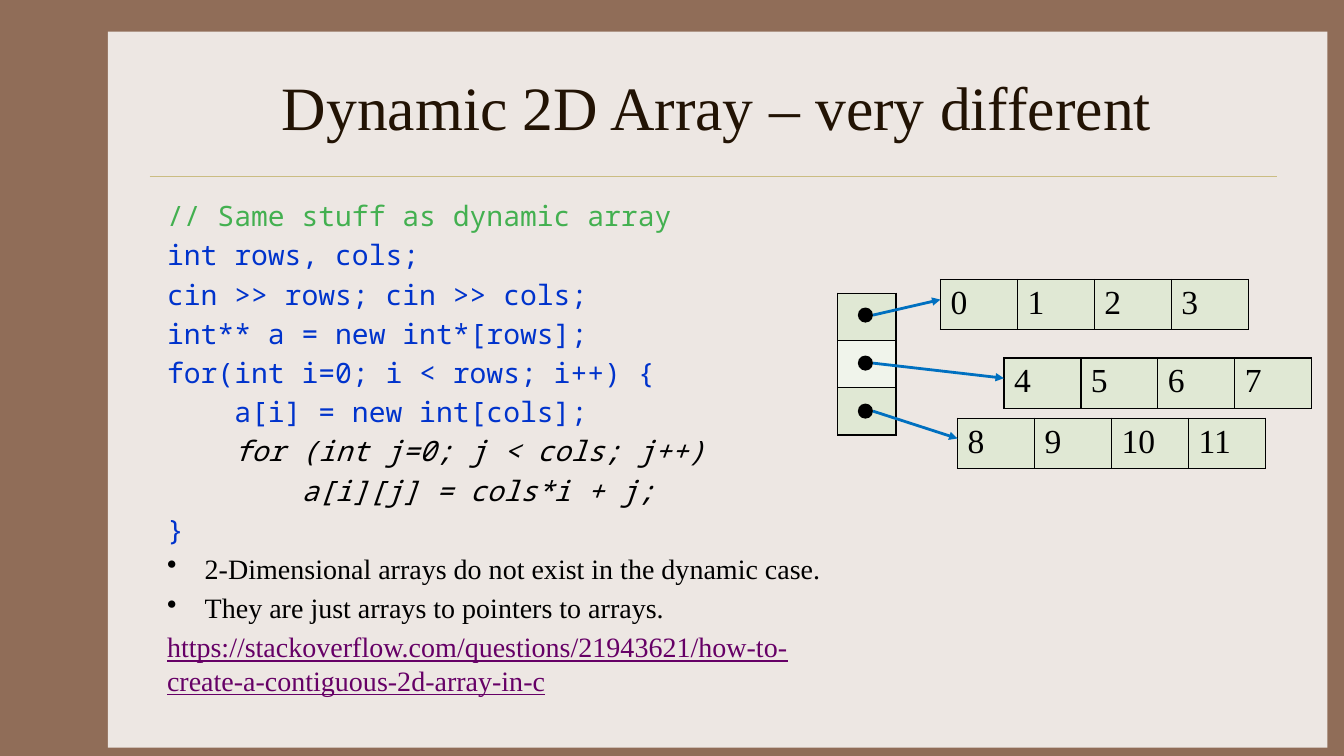
from pptx import Presentation
from pptx.dml.color import RGBColor
from pptx.enum.shapes import MSO_CONNECTOR, MSO_SHAPE
from pptx.enum.text import MSO_ANCHOR, PP_ALIGN
from pptx.oxml.ns import qn
from pptx.util import Cm, Pt
from lxml import etree

RECT, OVAL = MSO_SHAPE.RECTANGLE, MSO_SHAPE.OVAL
STRAIGHT = MSO_CONNECTOR.STRAIGHT
TOP, MIDDLE = MSO_ANCHOR.TOP, MSO_ANCHOR.MIDDLE
LEFT, CENTER = PP_ALIGN.LEFT, PP_ALIGN.CENTER

BROWN = RGBColor(0x90, 0x6D, 0x58)
PAPER = RGBColor(0xED, 0xE7, 0xE3)
SAND = RGBColor(0xCB, 0xBD, 0x83)
DARK = RGBColor(0x22, 0x13, 0x04)
BLACK = RGBColor(0, 0, 0)
GREEN = RGBColor(0x43, 0xB0, 0x50)
BLUE = RGBColor(0x00, 0x33, 0xCC)
PURPLE = RGBColor(0x66, 0x00, 0x66)
ARROW = RGBColor(0x00, 0x70, 0xC0)
CELL = RGBColor(0xE0, 0xE8, 0xD4)
CELL_LIGHT = RGBColor(0xF0, 0xF4, 0xEB)

SERIF, MONO = "Times New Roman", "Noto Sans Mono"


class Deck:
    def __init__(self, slide):
        self.s = slide
        self.s.background.fill.solid()
        self.s.background.fill.fore_color.rgb = BROWN

    def shape(self, kind, x, y, w, h, color):
        sp = self.s.shapes.add_shape(kind, Cm(x), Cm(y), Cm(w), Cm(h))
        sp.shadow.inherit = False
        sp.fill.solid()
        sp.fill.fore_color.rgb = color
        sp.line.fill.background()

    def line(self, x1, y1, x2, y2, color, width, arrow=False):
        ln = self.s.shapes.add_connector(STRAIGHT, Cm(x1), Cm(y1), Cm(x2), Cm(y2))
        ln.line.color.rgb = color
        ln.line.width = Pt(width)
        if arrow:
            etree.SubElement(ln.line._get_or_add_ln(), qn("a:tailEnd"), type="triangle")
        etree.SubElement(ln._element.spPr, qn("a:effectLst"))

    def run(self, p, text, color, **fmt):
        r = p.add_run()
        r.text = text
        r.font.color.rgb = color
        for name, value in fmt.items():
            setattr(r.font, name, value)

    def bullet(self, p):
        pPr = p._p.get_or_add_pPr()
        pPr.set("marL", str(Cm(0.95)))
        pPr.set("indent", str(-Cm(0.95)))
        etree.SubElement(pPr, qn("a:buChar"), char="•")

    def text(self, x, y, w, h, paragraphs, anchor=TOP, **para_fmt):
        tf = self.s.shapes.add_textbox(Cm(x), Cm(y), Cm(w), Cm(h)).text_frame
        tf.word_wrap = True
        tf.vertical_anchor = anchor
        for i, (text, color, bulleted, fmt) in enumerate(paragraphs):
            p = tf.add_paragraph() if i else tf.paragraphs[0]
            for name, value in para_fmt.items():
                if i or name != "space_before":
                    setattr(p, name, value)
            if bulleted:
                self.bullet(p)
            self.run(p, text, color, **fmt)

    def border(self, cell):
        tcPr = cell._tc.get_or_add_tcPr()
        for side in ("a:lnL", "a:lnR", "a:lnT", "a:lnB"):
            ln = etree.SubElement(tcPr, qn(side), w=str(Pt(1)))
            fill = etree.SubElement(ln, qn("a:solidFill"))
            etree.SubElement(fill, qn("a:srgbClr"), val=str(BLACK))

    def table(self, x, y, col_w, row_h, rows, fills):
        n_rows, n_cols = len(rows), len(rows[0])
        tbl = self.s.shapes.add_table(n_rows, n_cols, Cm(x), Cm(y),
                                      Cm(col_w * n_cols), Cm(row_h * n_rows)).table
        tbl.first_row = tbl.horz_banding = False
        for i, row in enumerate(rows):
            for j, value in enumerate(row):
                cell = tbl.cell(i, j)
                self.border(cell)
                cell.fill.solid()
                cell.fill.fore_color.rgb = fills[i]
                if value is not None:
                    self.run(cell.text_frame.paragraphs[0], str(value), BLACK,
                             name=SERIF, size=Pt(24))


def main():
    prs = Presentation()
    prs.slide_width, prs.slide_height = Cm(33.87), Cm(19.05)
    d = Deck(prs.slides.add_slide(prs.slide_layouts[6]))

    # Panel, title and rule
    d.shape(RECT, 2.72, 0.8, 30.73, 18.04, PAPER)
    d.line(3.77, 4.45, 32.18, 4.45, SAND, 0.25)
    title = dict(name=SERIF, size=Pt(44))
    d.text(3.96, 1.07, 28.22, 3.18,
           [("Dynamic 2D Array – very different", DARK, False, title)],
           anchor=MIDDLE, alignment=CENTER)

    # Code, notes and link
    code = dict(name=MONO, size=Pt(20))
    inner = dict(code, italic=True)
    note = dict(name=SERIF, size=Pt(20))
    link = dict(note, underline=True)
    d.text(3.96, 4.88, 17.15, 11.43, [
        ("// Same stuff as dynamic array", GREEN, False, code),
        ("int rows, cols;", BLUE, False, code),
        ("cin >> rows; cin >> cols;", BLUE, False, code),
        ("int** a = new int*[rows];", BLUE, False, code),
        ("for(int i=0; i < rows; i++) {", BLUE, False, code),
        ("    a[i] = new int[cols];", BLUE, False, code),
        ("    for (int j=0; j < cols; j++)", BLACK, False, inner),
        ("        a[i][j] = cols*i + j;", BLACK, False, inner),
        ("}", BLUE, False, code),
        ("2-Dimensional arrays do not exist in the dynamic case.", BLACK, True, note),
        ("They are just arrays to pointers to arrays.", BLACK, True, note),
        ("https://stackoverflow.com/questions/21943621/"
         "how-to-create-a-contiguous-2d-array-in-c", PURPLE, False, link),
    ], alignment=LEFT, line_spacing=Pt(24), space_before=Pt(4))

    # Pointer column
    d.table(21.11, 7.39, 1.47, 1.19, [[None]] * 3, [CELL, CELL_LIGHT, CELL])

    # Row arrays, each with its pointer dot and arrow
    n_cols, dot = 4, 0.38
    for i, (x, y) in enumerate([(23.7, 7.04), (25.3, 9.02), (24.13, 10.54)]):
        values = [n_cols * i + j for j in range(n_cols)]
        d.table(x, y, 1.94, 1.18, [values], [CELL])
        dot_y = 7.75 + 1.21 * i
        d.shape(OVAL, 21.62, dot_y, dot, dot, BLACK)
        d.line(21.62 + dot, dot_y + dot / 2, x, y + 0.51, ARROW, 2, arrow=True)

    prs.save("out.pptx")


if __name__ == "__main__":
    main()
